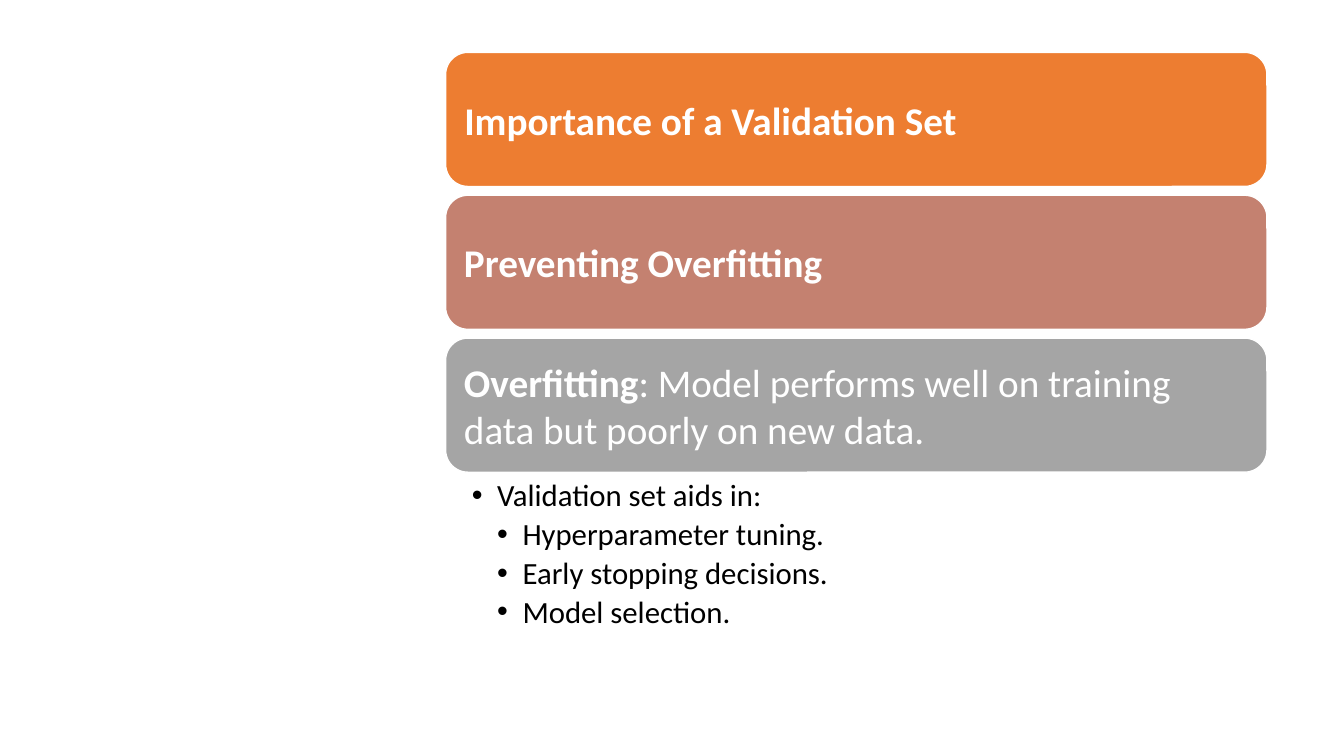
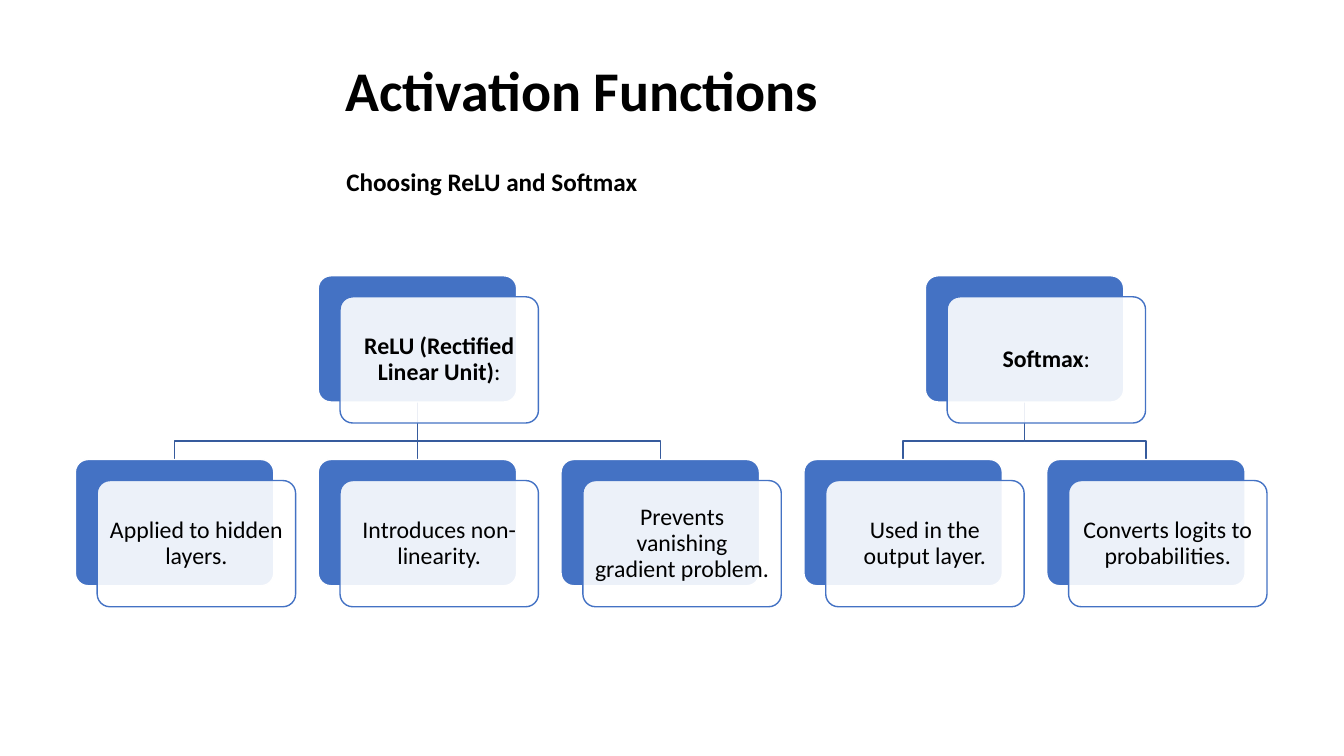
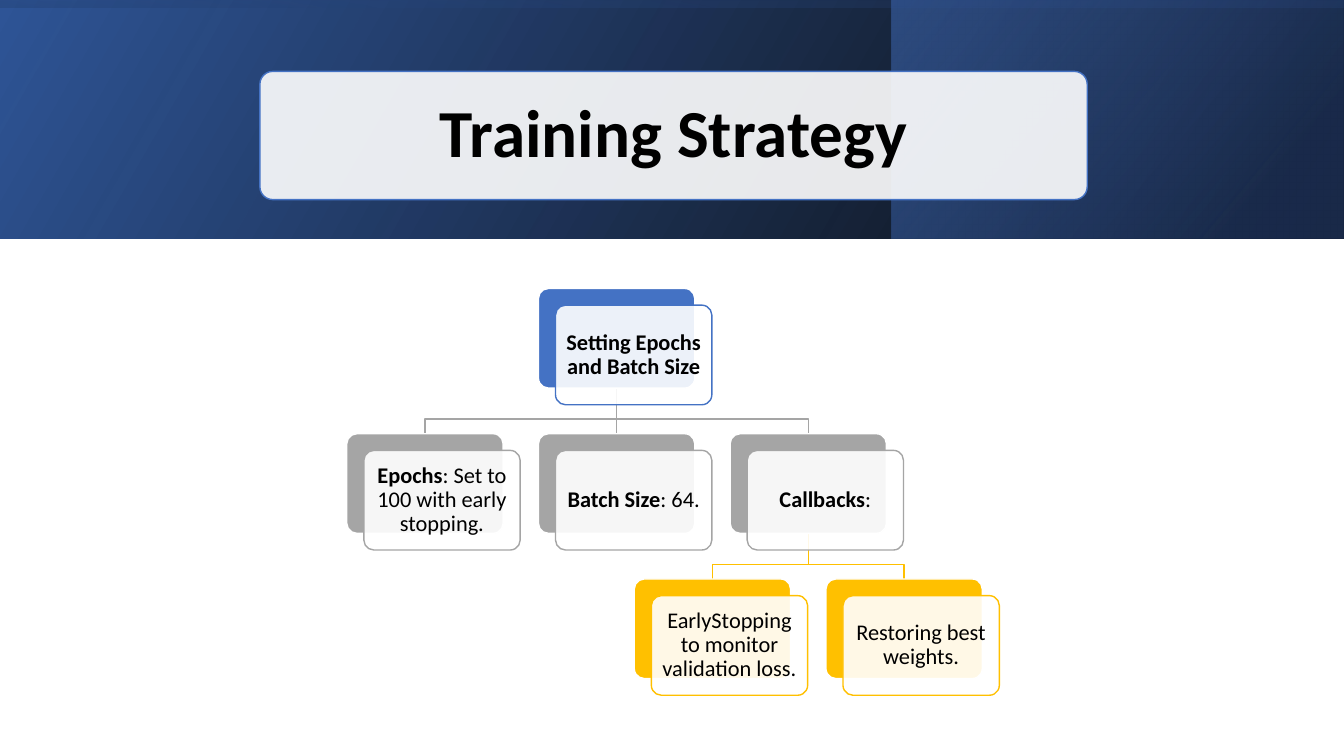
"""Build three slides on validation, activation functions and training strategy."""
from lxml.etree import SubElement
from pptx import Presentation
from pptx.dml.color import RGBColor
from pptx.enum.shapes import MSO_CONNECTOR as LINK, MSO_SHAPE as SHAPE
from pptx.enum.text import MSO_ANCHOR as ANCHOR, MSO_AUTO_SIZE as FIT, PP_ALIGN as ALIGN
from pptx.oxml.ns import qn
from pptx.util import Cm, Pt

FONT = "Calibri"
BLACK, WHITE, BLUE, GREY, GOLD = "000000", "FFFFFF", "4472C4", "A5A5A5", "FFC000"
rgb = RGBColor.from_string


def paint(shape, fill, line, opacity=100):
    """Give a shape a flat fill and a one-point outline, without shadow."""
    shape.shadow.inherit = False
    if fill:
        shape.fill.solid()
        shape.fill.fore_color.rgb = rgb(fill)
        colour = shape.fill._xPr.find(".//" + qn("a:srgbClr"))
        SubElement(colour, qn("a:alpha"), val=str(opacity * 1000))
    else:
        shape.fill.background()
    shape.line.color.rgb = rgb(line)
    shape.line.width = Pt(1)


def write(shape, lines, size, colour=BLACK, align=ALIGN.LEFT, anchor=ANCHOR.MIDDLE,
          insets=(0.25, 0.13, 0.25, 0.13), spacing=1.0):
    """Fill a shape with lines, each a pair of bold and plain text."""
    frame = shape.text_frame
    frame.word_wrap, frame.auto_size, frame.vertical_anchor = True, FIT.NONE, anchor
    (frame.margin_left, frame.margin_top,
     frame.margin_right, frame.margin_bottom) = map(Cm, insets)
    for number, (bold, plain) in enumerate(lines):
        paragraph = frame.add_paragraph() if number else frame.paragraphs[0]
        paragraph.alignment, paragraph.line_spacing = align, spacing
        for text, heavy in ((bold, True), (plain, False)):
            if text:
                run = paragraph.add_run()
                run.text = text
                run.font.name, run.font.size, run.font.bold = FONT, Pt(size), heavy
                run.font.color.rgb = rgb(colour)


deck = Presentation()
deck.slide_width, deck.slide_height = Cm(33.87), Cm(19.05)
validation, activation, training = [
    deck.slides.add_slide(deck.slide_layouts[5]) for _ in range(3)]

# Validation set
bar_left, bar_top, bar_width, bar_height, bar_pitch = map(Cm, (11.23, 1.32, 20.7, 3.38, 3.6))
bars = [
    ("ED7D31", None),
    ("C48170", ("Preventing Overfitting", "")),
    (GREY, ("Overfitting", ": Model performs well on training data but poorly on new data.")),
]
for row, (colour, line) in enumerate(bars):
    bar = validation.shapes.add_shape(
        SHAPE.ROUNDED_RECTANGLE, bar_left, bar_top + row * bar_pitch, bar_width, bar_height)
    paint(bar, colour, WHITE)
    if line:
        write(bar, [line], 28, WHITE, insets=[0.3] * 4)

heading = validation.shapes.title
heading.left, heading.top, heading.width, heading.height = bar_left, bar_top, bar_width, bar_height
write(heading, [("Importance of a Validation Set", "")], 28, WHITE, insets=[0.47] * 4)
validation.shapes._spTree.append(heading._element)

uses = validation.shapes.add_textbox(
    bar_left, bar_top + 2 * bar_pitch + bar_height, bar_width, Cm(4.34))
write(uses, [("", "Validation set aids in:"), ("", "Hyperparameter tuning."),
             ("", "Early stopping decisions."), ("", "Model selection.")],
      22, anchor=ANCHOR.TOP, insets=(0.66, 0.1, 0.56, 0.1), spacing=0.9)
uses.text_frame.paragraphs[0].line_spacing = 1.0
for number, paragraph in enumerate(uses.text_frame.paragraphs):
    paragraph.level = 2 if number else 1
    paragraph.space_after = Pt(4)
    properties = paragraph._p.get_or_add_pPr()
    properties.set("marL", str(Cm(0.64) * paragraph.level))
    properties.set("indent", str(-Cm(0.64)))
    SubElement(properties, qn("a:buFont"), typeface="Arial")
    SubElement(properties, qn("a:buChar"), char="•")

# Activation functions
heading = activation.shapes.title
heading.left, heading.top, heading.width, heading.height = map(Cm, (8.46, 1.47, 24, 1.9))
write(heading, [("Activation Functions", "")], 40, anchor=ANCHOR.TOP, spacing=0.9)
subtitle = activation.shapes.add_textbox(*map(Cm, (8.48, 4.06, 16.94, 1.02)))
write(subtitle, [("Choosing ReLU and Softmax", "")], 18, anchor=ANCHOR.TOP)

# Training strategy banner
banner = [
    ((0, 0, 33.87, 6.02), 0, 30, ((0, BLACK, 96), (1, "2F5597", 100))),
    ((22.46, 0, 11.4, 6.02), 0, 40, ((0.19, "203864", 68), (1, BLUE, 48))),
    ((13.92, -13.92, 6.02, 33.87), 270, 10, ((0.23, "2F5597", 16), (0.99, BLACK, 45))),
]
for place, turn, angle, stops in banner:
    band = training.shapes.add_shape(SHAPE.RECTANGLE, *map(Cm, place))
    band.shadow.inherit = False
    band.line.fill.background()
    band.rotation = turn
    band._element.spPr.xfrm.set("flipH", "1")
    band.fill.gradient()
    band.fill.gradient_angle = angle
    for stop, (position, colour, _) in zip(band.fill.gradient_stops, stops):
        stop.position, stop.color.rgb = position, rgb(colour)
    for tint, (_, _, opacity) in zip(band._element.spPr.iter(qn("a:srgbClr")), stops):
        SubElement(tint, qn("a:alpha"), val=str(opacity * 1000))

panel_place = [Cm(length) for length in (6.55, 1.8, 20.85, 3.23)]
panel = training.shapes.add_shape(SHAPE.ROUNDED_RECTANGLE, *panel_place)
panel.adjustments[0] = 0.1
paint(panel, WHITE, BLUE, 90)
heading = training.shapes.title
heading.left, heading.top, heading.width, heading.height = panel_place
write(heading, [("Training Strategy", "")], 48, align=ALIGN.CENTER, spacing=0.9)
training.shapes._spTree.append(heading._element)

# Trees: origin, pitch, card size, offset of the front card, font size,
# card and link colours by row, then nodes as column, row, parent column, bold, plain
trees = [
    (activation, (1.9, 6.95), (6.12, 4.63), (5, 3.18), (0.55, 0.53), 17,
     (BLUE, BLUE), (None, "365B9D"), [
         (1, 0, None, "ReLU (Rectified Linear Unit)", ":"),
         (0, 1, 1, "", "Applied to hidden layers."),
         (1, 1, 1, "", "Introduces non-linearity."),
         (2, 1, 1, "", "Prevents vanishing gradient problem."),
         (3.5, 0, None, "Softmax", ":"),
         (3, 1, 3.5, "", "Used in the output layer."),
         (4, 1, 3.5, "", "Converts logits to probabilities.")]),
    (training, (8.74, 7.27), (4.83, 3.66), (3.94, 2.51), (0.43, 0.42), 16,
     (BLUE, GREY, GOLD), (None, GREY, GOLD), [
         (1, 0, None, "Setting Epochs and Batch Size", ""),
         (0, 1, 1, "Epochs", ": Set to 100 with early stopping."),
         (1, 1, 1, "Batch Size", ": 64."),
         (2, 1, 1, "Callbacks", ":"),
         (1.5, 2, 2, "", "EarlyStopping to monitor validation loss."),
         (2.5, 2, 2, "", "Restoring best weights.")]),
]
for slide, origin, pitch, card, offset, size, card_colours, link_colours, nodes in trees:
    left, top = origin
    width, height = card
    for column, row, parent, _, _ in nodes:
        if parent is None:
            continue
        child_x = Cm(left + column * pitch[0] + width / 2)
        parent_x = Cm(left + parent * pitch[0] + width / 2)
        end = Cm(top + row * pitch[1])
        start = Cm(top + (row - 1) * pitch[1] + height)
        if column == parent:
            link = slide.shapes.add_connector(LINK.STRAIGHT, parent_x, start, child_x, end)
            link.line.color.rgb, link.line.width = rgb(link_colours[row]), Pt(1)
            SubElement(link._element.spPr, qn("a:effectLst"))
        else:
            bend = int(start + 0.68 * (end - start))
            outline = slide.shapes.build_freeform(parent_x, start)
            outline.add_line_segments(
                [(parent_x, bend), (child_x, bend), (child_x, end)], close=False)
            paint(outline.convert_to_shape(), None, link_colours[row])
    for column, row, _, bold, plain in nodes:
        x, y = left + column * pitch[0], top + row * pitch[1]
        back = slide.shapes.add_shape(
            SHAPE.ROUNDED_RECTANGLE, Cm(x), Cm(y), Cm(width), Cm(height))
        front = slide.shapes.add_shape(
            SHAPE.ROUNDED_RECTANGLE, Cm(x + offset[0]), Cm(y + offset[1]), Cm(width), Cm(height))
        back.adjustments[0] = front.adjustments[0] = 0.1
        paint(back, card_colours[row], WHITE)
        paint(front, WHITE, card_colours[row], 90)
        write(front, [(bold, plain)], size, align=ALIGN.CENTER, insets=[0.18] * 4, spacing=0.9)

deck.save("out.pptx")
